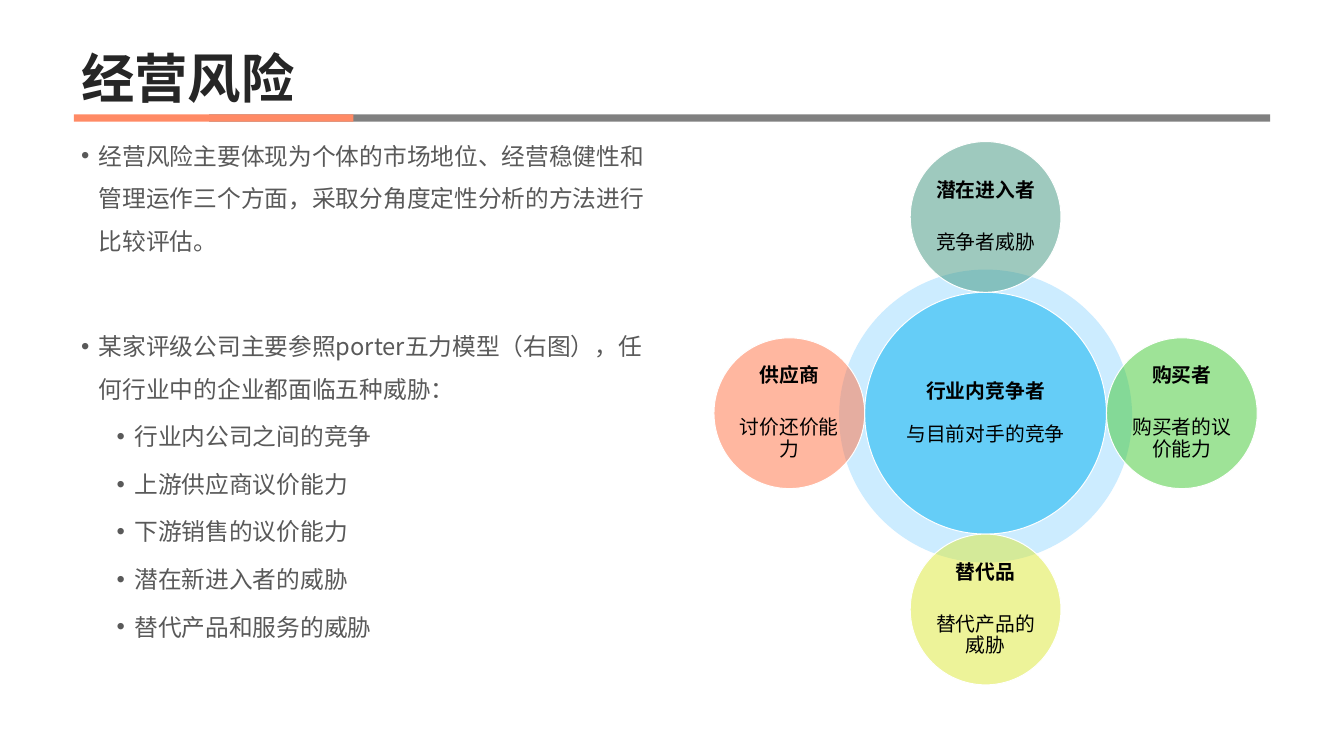
"""Build the operating risk slide with its five forces diagram."""
import pptx
import pptx.util
import pptx.dml.color
import pptx.enum.shapes
import pptx.enum.text
import lxml.etree
from pptx.oxml.ns import qn

Inches, Pt = pptx.util.Inches, pptx.util.Pt
RGB = pptx.dml.color.RGBColor
SHAPE = pptx.enum.shapes.MSO_SHAPE
ALIGN = pptx.enum.text.PP_ALIGN
ANCHOR = pptx.enum.text.MSO_ANCHOR
FIT = pptx.enum.text.MSO_AUTO_SIZE

WHITE, BLACK = RGB(0xFF, 0xFF, 0xFF), RGB(0, 0, 0)
DARK, TEXT_GRAY, BAR_GRAY = RGB(0x26, 0x26, 0x26), RGB(0x59, 0x59, 0x59), RGB(0x80, 0x80, 0x80)
ORANGE, PALE_BLUE, BLUE = RGB(0xFF, 0x8A, 0x65), RGB(0xCC, 0xEC, 0xFF), RGB(0, 0xB0, 0xF0)
TEAL, GREEN = RGB(0x3E, 0x95, 0x7F), RGB(0x3E, 0xC8, 0x30)
LIME, CORAL = RGB(0xDC, 0xE9, 0x34), RGB(0xFF, 0x70, 0x43)
CJK = "Noto Sans CJK SC"

TITLE = "经营风险"
BULLETS = [
    (0, 0, "经营风险主要体现为个体的市场地位、经营稳健性和管理运作三个方面，采取分角度定性分析的方法进行比较评估。"),
    (0, 63, "某家评级公司主要参照porter五力模型（右图），任何行业中的企业都面临五种威胁："),
    (1, 5, "行业内公司之间的竞争"),
    (1, 5, "上游供应商议价能力"),
    (1, 5, "下游销售的议价能力"),
    (1, 5, "潜在新进入者的威胁"),
    (1, 5, "替代产品和服务的威胁"),
]
BARS = [(2.94, 14.92, BAR_GRAY), (1.04, 3.93, ORANGE)]
CORE = ("行业内竞争者", "与目前对手的竞争")
FORCES = [
    (0, -1, TEAL, "潜在进入者", "竞争者威胁"),
    (1, 0, GREEN, "购买者", "购买者的议价能力"),
    (0, 1, LIME, "替代品", "替代产品的威胁"),
    (-1, 0, CORAL, "供应商", "讨价还价能力"),
]
CX, CY, HALO_CY = 13.86, 5.81, 5.85
HALO_D, CORE_D, FORCE_D = 4.12, 3.4, 2.12
REACH = (CORE_D + FORCE_D) / 2

TITLE_FONT = {"name": CJK, "size": Pt(54), "bold": True}
BODY_FONT = {"name": CJK, "size": Pt(24), "bold": False}
LABEL_FONT = {"name": "Arial", "size": Pt(20)}


def set_all(obj, values):
    for key, value in values.items():
        setattr(obj, key, value)


def place(sp, left, top, width, height):
    set_all(sp, {"left": Inches(left), "top": Inches(top),
                 "width": Inches(width), "height": Inches(height)})


def add_run(p, text, font, color):
    r = p.add_run()
    r.text = text
    set_all(r.font, font)
    r.font.color.rgb = color
    lxml.etree.SubElement(r._r.get_or_add_rPr(), qn("a:ea"), typeface=CJK)


def add_bullet(p, level):
    pPr = p._p.get_or_add_pPr()
    pPr.set("marL", str(Inches(0.25 + 0.5 * level)))
    pPr.set("indent", str(-Inches(0.25)))
    lxml.etree.SubElement(pPr, qn("a:buFont"), typeface="Arial")
    lxml.etree.SubElement(pPr, qn("a:buChar"), char="•")


def add_filled(s, kind, left, top, width, height, color):
    sp = s.shapes.add_shape(kind, Inches(left), Inches(top), Inches(width), Inches(height))
    sp.shadow.inherit = False
    sp.fill.solid()
    sp.fill.fore_color.rgb = color
    sp.line.fill.background()
    return sp


def add_circle(s, cx, cy, d, color):
    return add_filled(s, SHAPE.OVAL, cx - d / 2, cy - d / 2, d, d, color)


def add_force(s, cx, cy, d, color, name, detail, gap):
    sp = add_circle(s, cx, cy, d, color)
    srgb = sp.fill._xPr.find(qn("a:solidFill")).find(qn("a:srgbClr"))
    lxml.etree.SubElement(srgb, qn("a:alpha"), val="50000")
    sp.line.color.rgb = WHITE
    sp.line.width = Pt(1)
    tf = sp.text_frame
    set_all(tf, {"word_wrap": True, "vertical_anchor": ANCHOR.MIDDLE})
    set_all(tf, dict.fromkeys(
        ("margin_left", "margin_right", "margin_top", "margin_bottom"), Inches(0.03)))
    for p, text, bold, after in ((tf.paragraphs[0], name, True, gap),
                                 (tf.add_paragraph(), detail, False, 0)):
        set_all(p, {"alignment": ALIGN.CENTER, "line_spacing": 0.9, "space_after": Pt(after)})
        add_run(p, text, {**LABEL_FONT, "bold": bold}, BLACK)


def main():
    prs = pptx.Presentation()
    set_all(prs, {"slide_width": Inches(18.9), "slide_height": Inches(10.63)})
    s = prs.slides.add_slide(prs.slide_layouts[1])

    title, body = s.shapes.title, s.placeholders[1]
    place(title, 1.04, 0, 16.82, 1.59)
    tf = title.text_frame
    set_all(tf, {"auto_size": FIT.NONE, "vertical_anchor": ANCHOR.BOTTOM})
    p = tf.paragraphs[0]
    set_all(p, {"alignment": ALIGN.LEFT, "line_spacing": 0.9})
    add_run(p, TITLE, TITLE_FONT, DARK)

    place(body, 1.04, 1.74, 8.41, 8.61)
    tf = body.text_frame
    tf.auto_size = FIT.NONE
    for i, (level, before, text) in enumerate(BULLETS):
        p = tf.add_paragraph() if i else tf.paragraphs[0]
        add_bullet(p, level)
        set_all(p, {"level": level, "line_spacing": 1.5, "space_before": Pt(before)})
        add_run(p, text, BODY_FONT, TEXT_GRAY)

    for left, width, color in BARS:
        add_filled(s, SHAPE.RECTANGLE, left, 1.61, width, 0.1, color)

    add_circle(s, CX, HALO_CY, HALO_D, PALE_BLUE)
    add_force(s, CX, CY, CORE_D, BLUE, *CORE, 22)
    for dx, dy, color, name, detail in FORCES:
        add_force(s, CX + dx * REACH, CY + dy * REACH, FORCE_D, color, name, detail, 31)

    prs.save("out.pptx")


if __name__ == "__main__":
    main()
